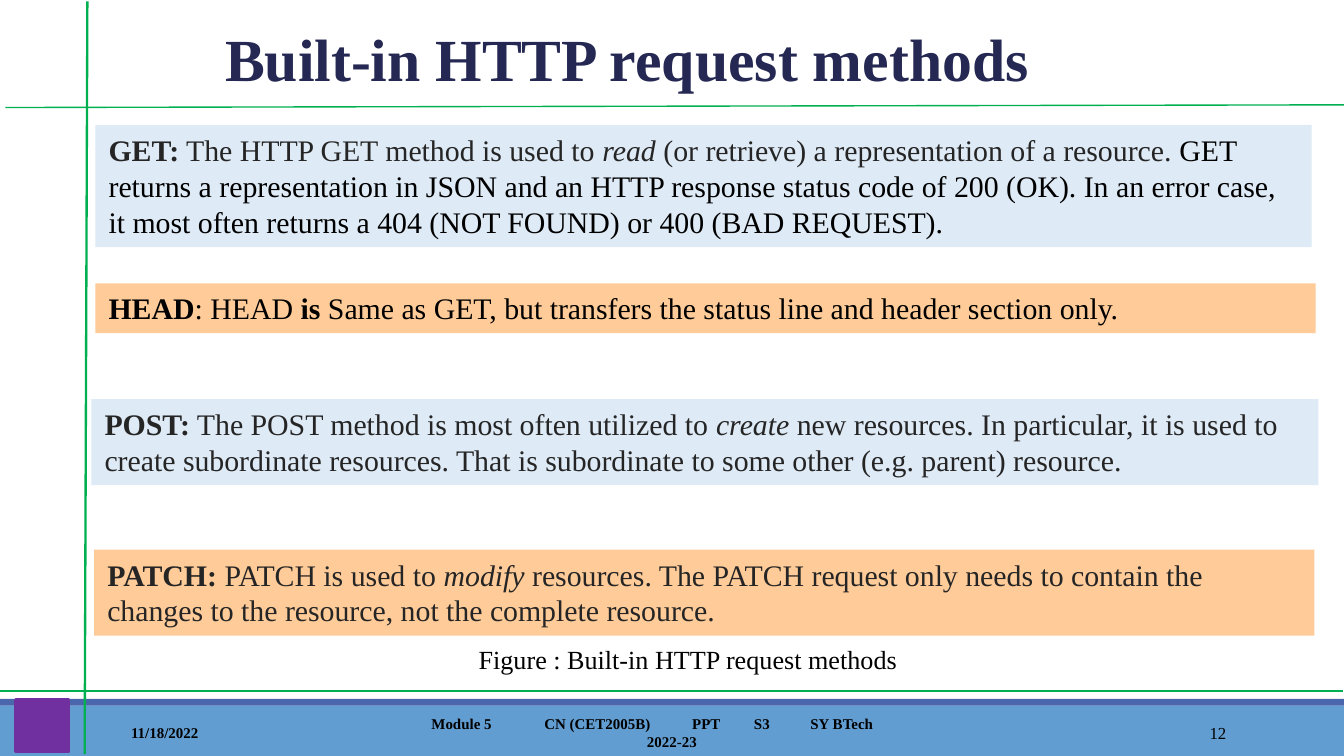
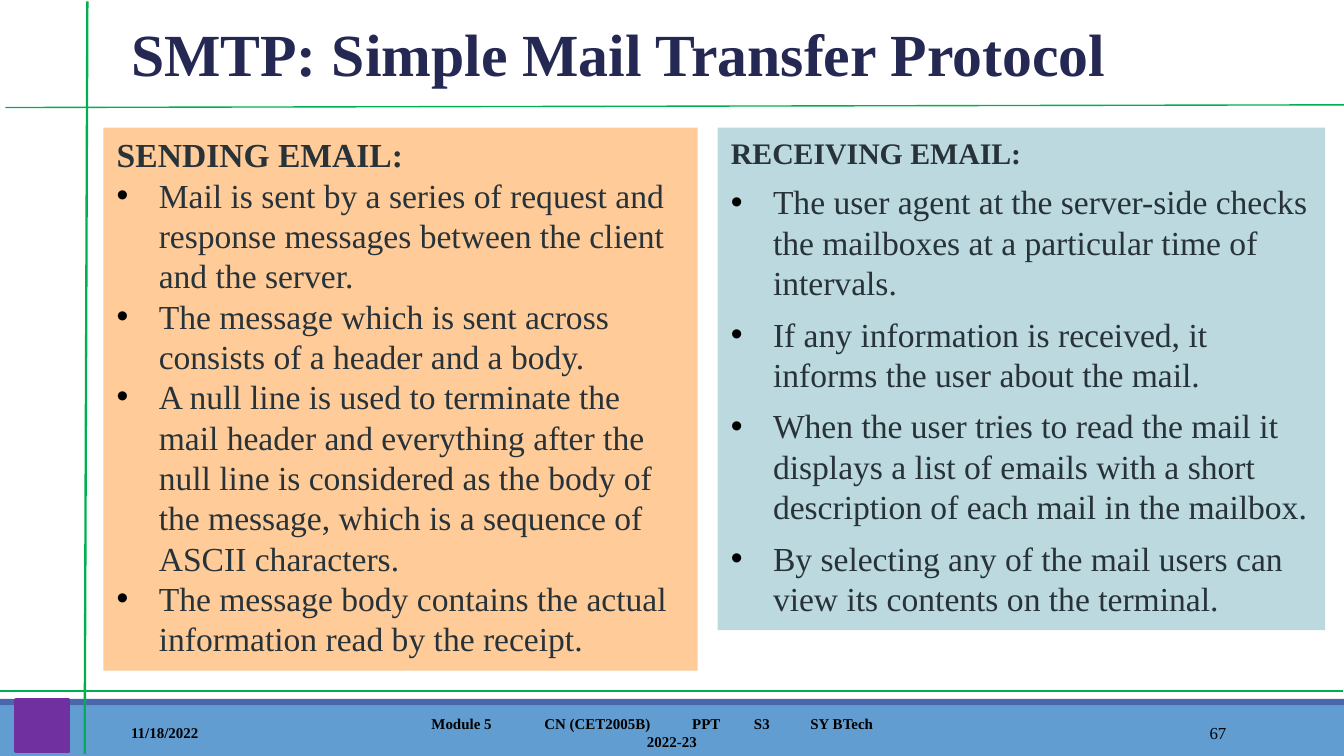
"""Build two network-protocol lecture slides on a grid of tenth-inch cells."""
from dataclasses import dataclass

from lxml import etree
from pptx import Presentation, util as u
from pptx.dml import color
from pptx.enum import shapes, text
from pptx.oxml import ns

COLUMNS, ROWS = 100, 56.25
CELL = u.Inches(0.1)
FONT = "Times New Roman"
COLORS = {
    "title": "242852", "black": "000000", "charcoal": "252525", "slate": "273239",
    "footer": "629DD1", "stripe": "4A66AC", "purple": "7030A0", "green": "00B050",
    "pale_blue": "DEEAF5", "orange": "FFCC99", "teal": "BBD9DE",
}
SMALL_INSETS = (0.75, 0.4)
CARD_INSETS = (1, 0.5)
LEFT, CENTER, RIGHT, JUSTIFY = (
    text.PP_ALIGN.LEFT, text.PP_ALIGN.CENTER, text.PP_ALIGN.RIGHT, text.PP_ALIGN.JUSTIFY)
TOP, MIDDLE, BOTTOM = (
    text.MSO_ANCHOR.TOP, text.MSO_ANCHOR.MIDDLE, text.MSO_ANCHOR.BOTTOM)


@dataclass(frozen=True)
class Area:
    column: float
    row: float
    columns: float
    rows: float

    def lengths(self) -> list:
        return [cells(n) for n in (self.column, self.row, self.columns, self.rows)]


@dataclass(frozen=True)
class Span:
    words: str
    color: str = "charcoal"
    bold: bool = False
    italic: bool = False


@dataclass(frozen=True)
class Line:
    spans: tuple
    size: float = 16
    align: text.PP_ALIGN = LEFT
    bullet: bool = False
    before: float = 0
    spacing: float = 1
    tabs: tuple = ()


@dataclass(frozen=True)
class Box:
    area: Area
    lines: tuple
    fill: str = ""
    insets: tuple = CARD_INSETS
    anchor: text.MSO_ANCHOR = TOP


@dataclass(frozen=True)
class Rule:
    start: tuple
    end: tuple
    width: float


@dataclass(frozen=True)
class Page:
    number: str
    title: str
    title_area: Area
    title_spacing: float
    boxes: tuple


def cells(count: float) -> int:
    return round(count * CELL)


def rgb(name: str) -> color.RGBColor:
    return color.RGBColor.from_string(COLORS[name])


def footer_line(words: str, align: text.PP_ALIGN = LEFT, tabs: tuple = ()) -> Line:
    return Line((Span(words, "black", bold=True),), 8, align, tabs=tabs)


def method_card(area: Area, fill: str, *spans: Span, align: text.PP_ALIGN = LEFT) -> Box:
    return Box(area, (Line(spans, align=align),), fill)


def mail_card(area: Area, fill: str, heading: str, heading_size: float,
              before: float, points: tuple) -> Box:
    first = Line((Span(heading, "slate", bold=True),), heading_size)
    rest = [Line((Span(point, "slate"),), 18, bullet=True, before=before)
            for point in points]
    return Box(area, (first, *rest), fill)


BANDS = (
    (Area(0, 52.5, COLUMNS, 3.75), "footer"),
    (Area(0, 52, COLUMNS, 0.5), "stripe"),
)
RULES = (
    Rule((6.5, 0.1), (6.3, 56.1), 1.25),
    Rule((-0.1, 51.4), (99.9, 51.4), 1.25),
)
TITLE_RULE = Rule((0.4, 8), (100.4, 7.8), 0.75)
SQUARE = Area(1.2, 52.1, 3.9, 3.8)
FOOTERS = (
    Box(Area(9, 53, 20.3, 3), (footer_line("11/18/2022"),),
        insets=SMALL_INSETS, anchor=MIDDLE),
    Box(Area(30.2, 53, 39.6, 3), (
        footer_line("Module 5\tCN (CET2005B)\tPPT\tS3\tSY BTech",
                    tabs=(8.4, 19.4, 24, 28.2)),
        footer_line("2022-23", CENTER),
    ), insets=(1.9, 0.4), anchor=MIDDLE),
)
PAGES = (
    Page("12", "Built-in HTTP request methods", Area(16, 2.3, 84, 5.1), 0.85, (
        Box(Area(8.4, 46.9, 85.6, 6.7),
            (Line((Span("Figure : Built-in HTTP request methods", "black"),), 14, CENTER),),
            insets=(1, 1)),
        method_card(
            Area(7.1, 9.3, 90.5, 9.1), "pale_blue",
            Span("GET:", bold=True), Span(" The HTTP GET method is used to "),
            Span("read", italic=True),
            Span(" (or retrieve) a representation of a resource. "),
            Span("GET returns a representation in JSON and an HTTP response status code "
                 "of 200 (OK). In an error case, it most often returns a 404 (NOT FOUND) "
                 "or 400 (BAD REQUEST).", "black")),
        method_card(
            Area(6.8, 29.7, 91.3, 6.4), "pale_blue",
            Span("POST:", bold=True),
            Span(" The POST method is most often utilized to "),
            Span("create", italic=True),
            Span(" new resources. In particular, it is used to create subordinate "
                 "resources. That is subordinate to some other (e.g. parent) resource.")),
        method_card(
            Area(7, 40.9, 90.8, 6.4), "orange",
            Span("PATCH:", bold=True), Span(" PATCH is used to "),
            Span("modify", italic=True),
            Span(" resources. The PATCH request only needs to contain the changes to "
                 "the resource, not the complete resource.")),
        method_card(
            Area(7.1, 21.1, 90.8, 3.7), "orange",
            Span("HEAD", "black", bold=True), Span(": HEAD ", "black"),
            Span("is ", "black", bold=True),
            Span("Same as GET, but transfers the status line and header section only.",
                 "black"),
            align=JUSTIFY),
    )),
    Page("67", "SMTP: Simple Mail Transfer Protocol", Area(9, 0.4, 85.9, 6.6), 1, (
        mail_card(Area(7.7, 9.5, 44.2, 40.4), "orange", "SENDING EMAIL:", 18, 0, (
            "Mail is sent by a series of request and response messages between the "
            "client and the server.",
            "The message which is sent across consists of a header and a body.",
            "A null line is used to terminate the mail header and everything after the "
            "null line is considered as the body of the message, which is a sequence of "
            "ASCII characters.",
            "The message body contains the actual information read by the receipt.",
        )),
        mail_card(Area(53.4, 9.5, 45.2, 37.4), "teal", "RECEIVING EMAIL:", 16, 6, (
            "The user agent at the server-side checks the mailboxes at a particular "
            "time of intervals.",
            "If any information is received, it informs the user about the mail.",
            "When the user tries to read the mail it displays a list of emails with a "
            "short description of each mail in the mailbox.",
            "By selecting any of the mail users can view its contents on the terminal.",
        )),
    )),
)


def add_child(parent, tag: str, **attributes: str):
    return etree.SubElement(parent, ns.qn(tag), attributes)


def add_rectangle(slide, area: Area, fill: str):
    shape = slide.shapes.add_shape(shapes.MSO_SHAPE.RECTANGLE, *area.lengths())
    shape.shadow.inherit = False
    shape.fill.solid()
    shape.fill.fore_color.rgb = rgb(fill)
    shape.line.fill.background()
    return shape


def add_rule(slide, rule: Rule) -> None:
    ends = [cells(n) for n in (*rule.start, *rule.end)]
    connector = slide.shapes.add_connector(shapes.MSO_CONNECTOR.STRAIGHT, *ends)
    connector.line.color.rgb = rgb("green")
    connector.line.width = u.Pt(rule.width)
    add_child(connector.element.spPr, "a:effectLst")


def write_line(paragraph, line: Line) -> None:
    properties = paragraph._p.get_or_add_pPr()
    if line.bullet:
        properties.set("marL", str(cells(3.13)))
        properties.set("indent", str(-cells(3.13)))
        bullet_color = add_child(properties, "a:buClr")
        add_child(bullet_color, "a:srgbClr", val=COLORS["black"])
        add_child(properties, "a:buFont", typeface="Arial")
        add_child(properties, "a:buChar", char="•")
    if line.tabs:
        tab_list = add_child(properties, "a:tabLst")
        for stop in line.tabs:
            add_child(tab_list, "a:tab", pos=str(cells(stop)), algn="l")
    paragraph.alignment = line.align
    paragraph.line_spacing = line.spacing
    paragraph.space_before = u.Pt(line.before)
    for span in line.spans:
        run = paragraph.add_run()
        run.text = span.words
        run.font.name = FONT
        run.font.size = u.Pt(line.size)
        run.font.bold = span.bold
        run.font.italic = span.italic
        run.font.color.rgb = rgb(span.color)


def add_box(slide, box: Box) -> None:
    if box.fill:
        shape = add_rectangle(slide, box.area, box.fill)
    else:
        shape = slide.shapes.add_textbox(*box.area.lengths())
    frame = shape.text_frame
    frame.word_wrap = True
    frame.vertical_anchor = box.anchor
    frame.margin_left = frame.margin_right = cells(box.insets[0])
    frame.margin_top = frame.margin_bottom = cells(box.insets[1])
    for index, line in enumerate(box.lines):
        write_line(frame.add_paragraph() if index else frame.paragraphs[0], line)


def add_page(presentation, page: Page) -> None:
    slide = presentation.slides.add_slide(presentation.slide_layouts[6])
    for area, fill in BANDS:
        add_rectangle(slide, area, fill)
    number = Box(Area(81.2, 53, 10.8, 3),
                 (Line((Span(page.number, "black"),), 9, RIGHT),),
                 insets=SMALL_INSETS, anchor=MIDDLE)
    title = Box(page.title_area,
                (Line((Span(page.title, "title", bold=True),), 32,
                      spacing=page.title_spacing),),
                insets=SMALL_INSETS, anchor=BOTTOM)
    for box in (*FOOTERS, number, title, *page.boxes):
        add_box(slide, box)
    add_rule(slide, TITLE_RULE)
    square = add_rectangle(slide, SQUARE, "purple")
    square.line.color.rgb = rgb("purple")
    square.line.width = u.Pt(2)
    for rule in RULES:
        add_rule(slide, rule)


def main() -> None:
    presentation = Presentation()
    presentation.slide_width = cells(COLUMNS)
    presentation.slide_height = cells(ROWS)
    for page in PAGES:
        add_page(presentation, page)
    presentation.save("out.pptx")


if __name__ == "__main__":
    main()
